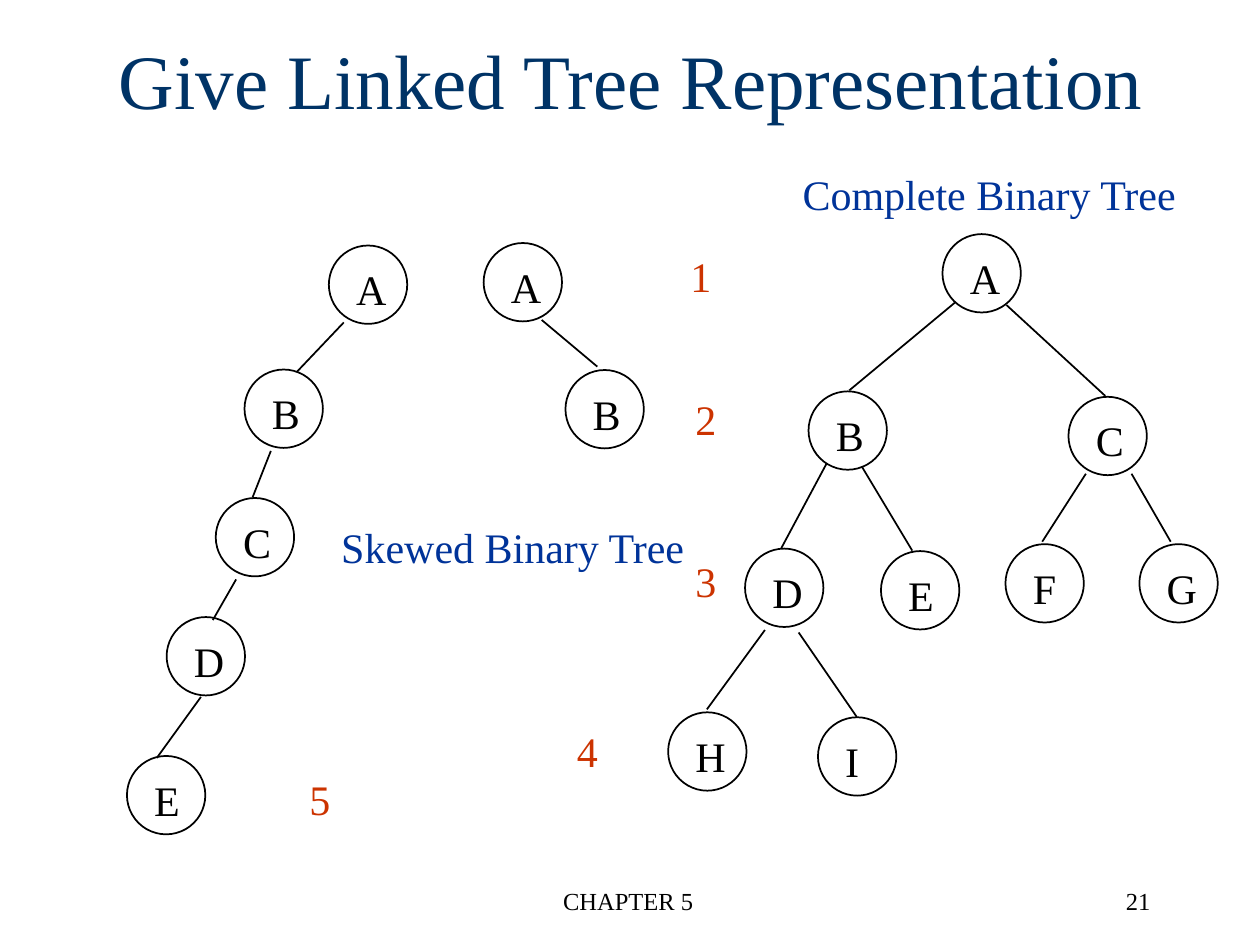
from pptx import Presentation
from pptx.dml.color import RGBColor
from pptx.enum import shapes, text
from pptx.oxml.ns import qn
from pptx.util import Cm, Pt
from lxml import etree

BLACK = RGBColor(0x00, 0x00, 0x00)
NAVY = RGBColor(0x00, 0x33, 0x66)
BLUE = RGBColor(0x00, 0x33, 0x99)
RED = RGBColor(0xCC, 0x33, 0x00)
FONT = "Times New Roman"
LEFT, CENTER, RIGHT = text.PP_ALIGN.LEFT, text.PP_ALIGN.CENTER, text.PP_ALIGN.RIGHT

NODE_SIZE = 1.58
LABEL_HEIGHT = 1.27
LABEL_WIDTHS = {"B": 1.07, "C": 1.07, "E": 1.04, "F": 0.99, "I": 0.79}
WIDE_LABEL = 1.12

# Each tree: nodes as (letter, left, top), edges as (x1, y1, x2, y2), in cm
LEFT_SKEWED = (
    [("A", 6.63, 4.95), ("B", 4.93, 7.45), ("C", 4.35, 10.04),
     ("D", 3.36, 12.44), ("E", 2.56, 15.24)],
    [(6.93, 6.5, 5.99, 7.49), (5.46, 9.09, 5.09, 10.03),
     (4.76, 11.68, 4.29, 12.5), (4.05, 14.05, 3.16, 15.28)],
)
RIGHT_SKEWED = (
    [("A", 9.75, 4.9), ("B", 11.4, 7.46)],
    [(10.92, 6.45, 12.04, 7.39)],
)
COMPLETE = (
    [("A", 19, 4.72), ("B", 16.3, 7.89), ("C", 21.54, 8),
     ("D", 15.02, 11.06), ("E", 17.76, 11.11), ("F", 20.27, 10.97),
     ("G", 22.97, 10.97), ("H", 13.47, 14.36), ("I", 16.49, 14.46)],
    [(19.25, 6.1, 17.12, 7.87), (20.29, 6.15, 22.28, 7.98),
     (16.66, 9.35, 15.75, 11.05), (17.37, 9.4, 18.39, 11.1),
     (21.89, 9.55, 21.01, 10.92), (22.81, 9.55, 23.6, 10.92),
     (15.42, 12.7, 14.25, 14.3), (16.1, 12.75, 17.27, 14.45)],
)
LEVELS = [(13.67, 4.93), (13.77, 7.8), (13.77, 11.07), (11.38, 14.5), (5.99, 15.47)]


def write(shape, words, size, color, alignment):
    paragraph = shape.text_frame.paragraphs[0]
    paragraph.text = words
    paragraph.alignment = alignment
    font = paragraph.runs[0].font
    font.name, font.size = FONT, Pt(size)
    font.color.rgb = color


def add_title(slide, words):
    title = slide.shapes.title
    title.left, title.top, title.width, title.height = Cm(0), Cm(0), Cm(25.45), Cm(3.18)
    title.text_frame.auto_size = text.MSO_AUTO_SIZE.NONE
    title.text_frame.vertical_anchor = text.MSO_ANCHOR.MIDDLE
    write(title, words, 44, NAVY, CENTER)


def add_label(parent, words, left, top, width, size=24, color=BLACK, alignment=LEFT):
    """Add a one-line text box to a slide or a group."""
    box = parent.shapes.add_textbox(Cm(left), Cm(top), Cm(width), Cm(LABEL_HEIGHT))
    box.text_frame.word_wrap = False
    write(box, words, size, color, alignment)


def add_node(slide, letter, left, top):
    group = slide.shapes.add_group_shape()
    circle = group.shapes.add_shape(
        shapes.MSO_SHAPE.OVAL, Cm(left), Cm(top), Cm(NODE_SIZE), Cm(NODE_SIZE))
    circle.shadow.inherit = False
    circle.fill.background()
    circle.line.color.rgb = BLACK
    circle.line.width = Pt(1)
    add_label(group, letter, left + 0.3, top + 0.24, LABEL_WIDTHS.get(letter, WIDE_LABEL))


def add_edge(slide, x1, y1, x2, y2):
    edge = slide.shapes.add_connector(
        shapes.MSO_CONNECTOR.STRAIGHT, Cm(x1), Cm(y1), Cm(x2), Cm(y2))
    edge.line.color.rgb = BLACK
    edge.line.width = Pt(1)
    etree.SubElement(edge._element.spPr, qn("a:effectLst"))


def add_tree(slide, nodes, edges):
    for node in nodes:
        add_node(slide, *node)
    for edge in edges:
        add_edge(slide, *edge)


def main():
    presentation = Presentation()
    presentation.slide_width, presentation.slide_height = Cm(25.4), Cm(19.05)
    slide = presentation.slides.add_slide(presentation.slide_layouts[5])

    add_title(slide, "Give Linked Tree Representation")
    for tree in (LEFT_SKEWED, RIGHT_SKEWED, COMPLETE):
        add_tree(slide, *tree)
    add_label(slide, "Complete Binary Tree", 15.93, 3.28, 8.08, color=BLUE)
    add_label(slide, "Skewed Binary Tree", 6.63, 10.39, 7.47, color=BLUE)
    for level, (left, top) in enumerate(LEVELS, start=1):
        add_label(slide, str(level), left, top, 0.93, color=RED)
    add_label(slide, "CHAPTER 5", 8.64, 17.73, 8.05, size=14, alignment=CENTER)
    add_label(slide, "21", 18.16, 17.73, 5.28, size=14, alignment=RIGHT)

    presentation.save("out.pptx")


if __name__ == "__main__":
    main()
